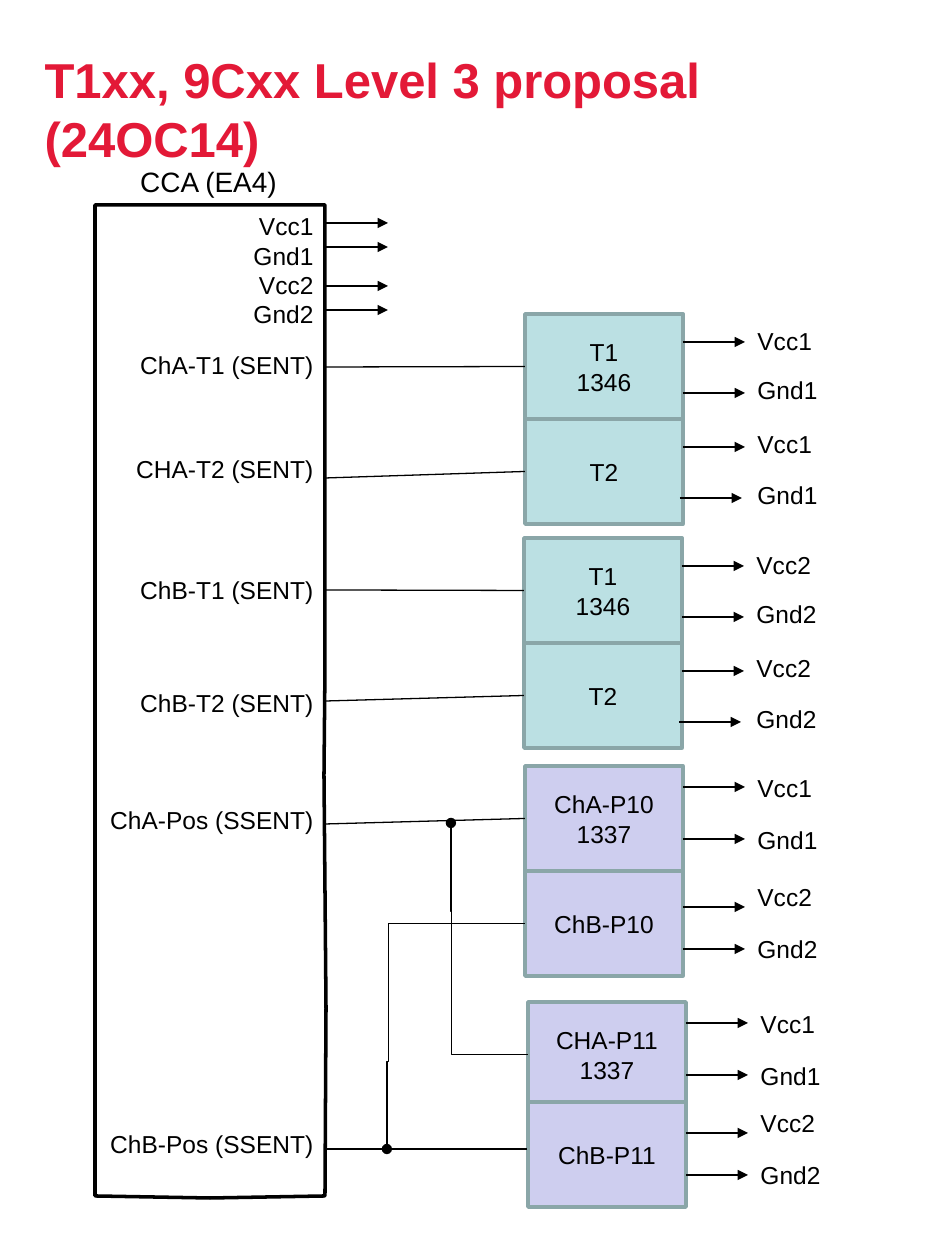
from dataclasses import dataclass

from lxml import etree
from pptx import Presentation
from pptx.dml.color import RGBColor
from pptx.enum.shapes import MSO_CONNECTOR, MSO_SHAPE
from pptx.enum.text import MSO_ANCHOR, PP_ALIGN
from pptx.oxml.ns import qn
from pptx.util import Emu, Pt

LEFT, CENTER, RIGHT = PP_ALIGN.LEFT, PP_ALIGN.CENTER, PP_ALIGN.RIGHT
TOP, MIDDLE = MSO_ANCHOR.TOP, MSO_ANCHOR.MIDDLE
STRAIGHT, ELBOW = MSO_CONNECTOR.STRAIGHT, MSO_CONNECTOR.ELBOW
LEFT_SIDE = 1


@dataclass(frozen=True)
class Theme:
    font: str = "Arial"
    title: str = "E31937"
    ink: str = "000000"
    paper: str = "FFFFFF"
    torque: str = "BBE0E3"
    position: str = "CECEEF"
    edge: str = "8AA6A8"
    title_size: int = 28
    head_size: int = 16
    size: int = 14
    line_height: float = 16.8
    wire: float = 0.75
    border: int = 2


T = Theme()

# Content
TITLE = "T1xx, 9Cxx Level 3 proposal (24OC14)"
UNIT = "CCA (EA4)"
# pin name, space before in points
PINS = [("Vcc1", 0), ("Gnd1", 0), ("Vcc2", 0), ("Gnd2", 0),
        ("ChA-T1 (SENT)", 12), ("CHA-T2 (SENT)", 43), ("ChB-T1 (SENT)", 52),
        ("ChB-T2 (SENT)", 48), ("ChA-Pos (SSENT)", 50), ("ChB-Pos (SSENT)", 168)]
SUPPLY_Y = [223, 247, 286, 310]
UNIT_OUTLINE = [(95, 205), (325, 205), (325, 668), (324, 775), (326, 1008),
                (325, 1196), (210, 1198), (95, 1196)]

# Supply ports by sensor kind: arrow y, label y, arrow shift, from the box's top left
PORTS = {
    "T1": [(28, 6, 0), (79, 55, 0)],
    "T2": [(28, 4, 0), (79, 55, -3)],
    "PA": [(21, 1, 0), (73, 53, 0)],
    "P10B": [(36, 5, 0), (78, 57, 0)],
    "P11B": [(31, 0, 0), (73, 52, 0)],
}
# text lines, left, top, fill, port kind, supply number
SENSORS = [
    (["T1", "1346"], 525, 314, T.torque, "T1", 1),
    (["T2"], 525, 419, T.torque, "T2", 1),
    (["T1", "1346"], 524, 538, T.torque, "T1", 2),
    (["T2"], 524, 643, T.torque, "T2", 2),
    (["ChA-P10", "1337"], 525, 766, T.position, "PA", 1),
    (["ChB-P10"], 525, 871, T.position, "P10B", 2),
    (["CHA-P11", "1337"], 528, 1002, T.position, "PA", 1),
    (["ChB-P11"], 528, 1102, T.position, "P11B", 2),
]
BOX_W, BOX_H, ARROW = 158, 105, 62
LABEL_W, LABEL_H = 95, 43
UNIT_RIGHT = 326
# y at the unit, index of the sensor
SIGNALS = [(367, 0), (478, 1), (590, 2), (701, 3), (824, 4)]
# index of the sensor, junction point, bend adjustments
BRANCHES = [(6, (451, 823), (99200, 61700)), (5, (387, 1149), (98700, 61300))]


def px(n):
    return Emu(round(n * 914400 / 126))


def rgb(color):
    return RGBColor.from_string(color)


def write(tf, lines, size=T.size, color=T.ink, bold=False, align=LEFT,
          anchor=TOP, gaps=None, line_height=None):
    tf.word_wrap = True
    tf.vertical_anchor = anchor
    for i, text in enumerate(lines):
        p = tf.paragraphs[0] if i == 0 else tf.add_paragraph()
        p.alignment = align
        if gaps and gaps[i]:
            p.space_before = Pt(gaps[i])
        if line_height:
            p.line_spacing = Pt(line_height)
        r = p.add_run()
        r.text = text
        r.font.name, r.font.size, r.font.bold = T.font, Pt(size), bold
        r.font.color.rgb = rgb(color)


def label(s, x, y, w, h, text, **fmt):
    write(s.shapes.add_textbox(px(x), px(y), px(w), px(h)).text_frame, [text], **fmt)


def paint(sp, fill, edge):
    sp.shadow.inherit = False
    sp.fill.solid()
    sp.fill.fore_color.rgb = rgb(fill)
    sp.line.color.rgb = rgb(edge)
    sp.line.width = Pt(T.border)


def wire(s, start, end, kind=STRAIGHT, tail=None):
    c = s.shapes.add_connector(kind, *map(px, (*start, *end)))
    c.line.color.rgb = rgb(T.ink)
    c.line.width = Pt(T.wire)
    sp_pr = c.element.spPr
    if tail:
        etree.SubElement(sp_pr.find(qn("a:ln")), qn("a:tailEnd"), type=tail)
    etree.SubElement(sp_pr, qn("a:effectLst"))
    return c


def bend(c, adjustments):
    geom = c.element.spPr.find(qn("a:prstGeom"))
    geom.set("prst", "bentConnector4")
    av = geom.find(qn("a:avLst"))
    for i, value in enumerate(adjustments, 1):
        etree.SubElement(av, qn("a:gd"), name=f"adj{i}", fmla=f"val {value}")


prs = Presentation()
prs.slide_width, prs.slide_height = px(945), px(1260)
s = prs.slides.add_slide(prs.slide_layouts[5])

# Title
title = s.shapes.title
title.left, title.top, title.width, title.height = map(px, (32, 14, 808, 189))
write(title.text_frame, [TITLE], size=T.title_size, color=T.title, bold=True, anchor=MIDDLE)

# Control unit with its pins
fb = s.shapes.build_freeform(*map(px, UNIT_OUTLINE[0]), scale=1.0)
fb.add_line_segments([(px(x), px(y)) for x, y in UNIT_OUTLINE[1:]], close=True)
unit = fb.convert_to_shape()
paint(unit, T.paper, T.ink)
names, gaps = zip(*PINS)
write(unit.text_frame, names, align=RIGHT, gaps=gaps, line_height=T.line_height)
label(s, 93, 158, 231, 47, UNIT, size=T.head_size, align=CENTER)
for y in SUPPLY_Y:
    wire(s, (UNIT_RIGHT, y), (UNIT_RIGHT + ARROW, y), tail="triangle")

# Sensors with their supply ports
boxes = []
for lines, x, y, fill, kind, supply in SENSORS:
    box = s.shapes.add_shape(MSO_SHAPE.RECTANGLE, px(x), px(y), px(BOX_W), px(BOX_H))
    paint(box, fill, T.edge)
    write(box.text_frame, lines, align=CENTER, anchor=MIDDLE)
    boxes.append(box)
    right = x + BOX_W
    for net, (arrow_y, label_y, shift) in zip(("Vcc", "Gnd"), PORTS[kind]):
        wire(s, (right + shift, y + arrow_y), (right + shift + ARROW, y + arrow_y),
             tail="triangle")
        label(s, right + ARROW, y + label_y, LABEL_W, LABEL_H, f"{net}{supply}")

# Signal wires
for y, i in SIGNALS:
    c = wire(s, (UNIT_RIGHT, y), SENSORS[i][1:3])
    c.end_connect(boxes[i], LEFT_SIDE)
wire(s, (UNIT_RIGHT, 1149), (527, 1149))

# Branches from the shared position signals
for i, junction, adjustments in BRANCHES:
    _, x, y, *_ = SENSORS[i]
    c = wire(s, (x, y + BOX_H / 2), junction, kind=ELBOW, tail="oval")
    bend(c, adjustments)
    c.begin_connect(boxes[i], LEFT_SIDE)

prs.save("out.pptx")
